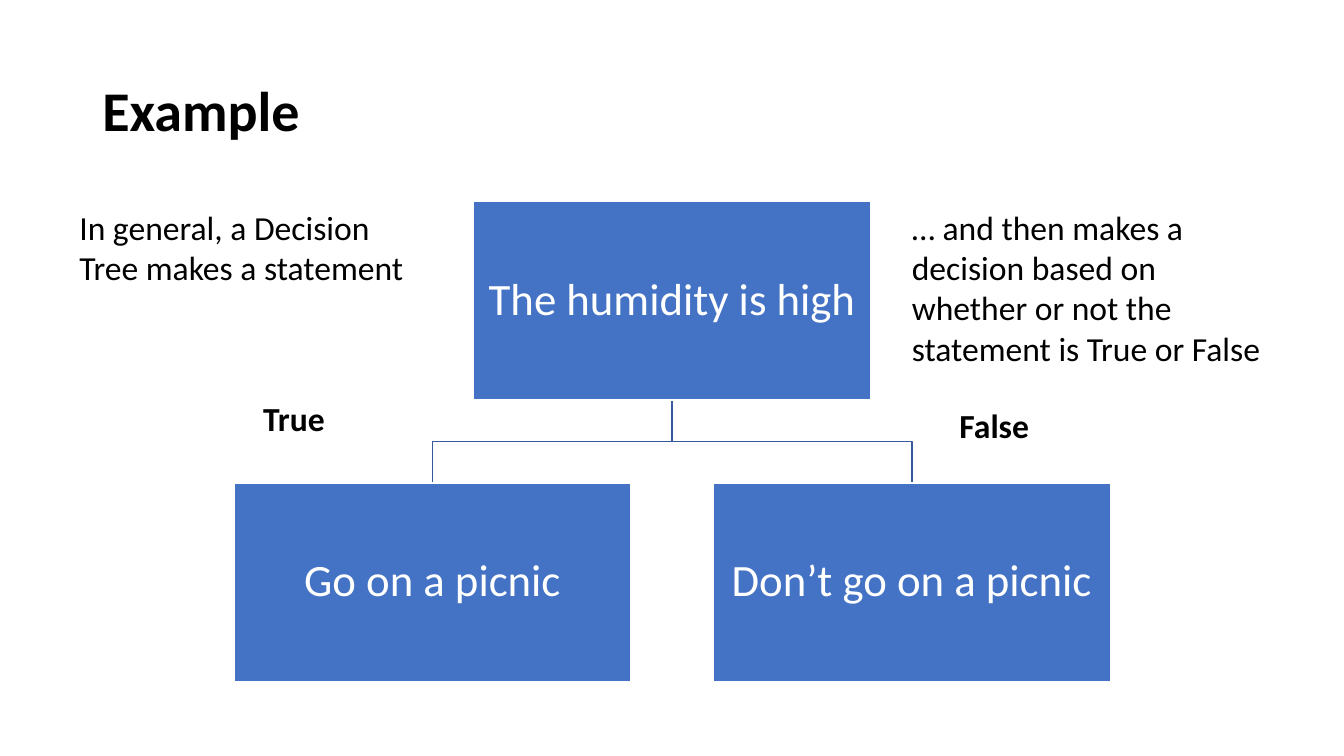
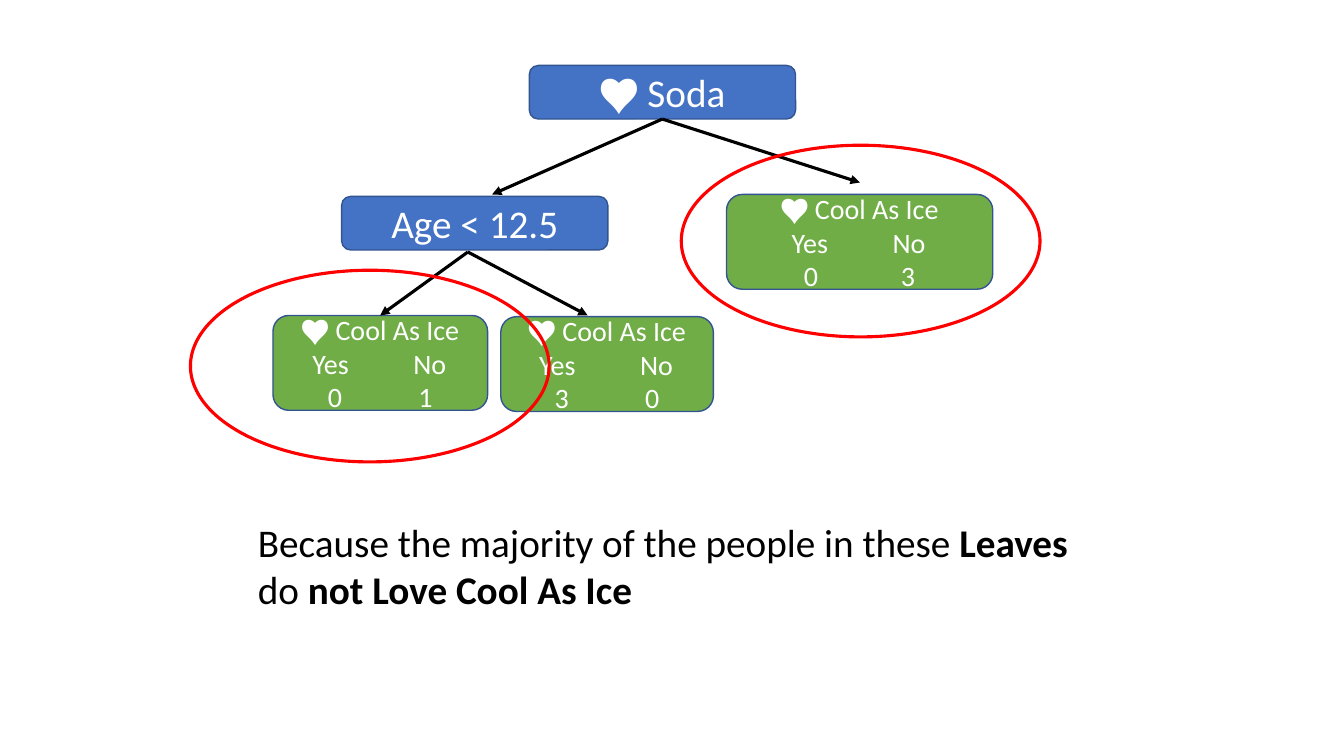
"""Build two slides that explain decision trees."""
import lxml.etree
import pptx
import pptx.dml.color
import pptx.enum.shapes
import pptx.enum.text
import pptx.oxml.ns
import pptx.util

Cm = pptx.util.Cm
Pt = pptx.util.Pt
RGBColor = pptx.dml.color.RGBColor
SHAPE = pptx.enum.shapes.MSO_SHAPE
ALIGN = pptx.enum.text.PP_ALIGN
MIDDLE = pptx.enum.text.MSO_ANCHOR.MIDDLE
qn = pptx.oxml.ns.qn

FONT = "Calibri"
BLACK = RGBColor(0x00, 0x00, 0x00)
WHITE = RGBColor(0xFF, 0xFF, 0xFF)
BLUE = RGBColor(0x44, 0x72, 0xC4)
NAVY = RGBColor(0x32, 0x54, 0x91)
BRANCH = RGBColor(0x36, 0x5B, 0x9D)
GREEN = RGBColor(0x70, 0xAD, 0x47)
RED = RGBColor(0xFF, 0x00, 0x00)


def write(para, runs, size, color, align=ALIGN.LEFT):
    """Add (text, bold) runs to a paragraph."""
    para.alignment = align
    for text, bold in runs:
        run = para.add_run()
        run.text = text
        run.font.name = FONT
        run.font.size = Pt(size)
        run.font.bold = bold
        run.font.color.rgb = color


def draw(slide, kind, at, fill, edge, width=1):
    """Add a preset shape with the given fill and edge."""
    shape = slide.shapes.add_shape(kind, *map(Cm, at))
    shape.shadow.inherit = False
    if fill is None:
        shape.fill.background()
    else:
        shape.fill.solid()
        shape.fill.fore_color.rgb = fill
    shape.line.color.rgb = edge
    shape.line.width = Pt(width)
    frame = shape.text_frame
    frame.word_wrap = True
    frame.vertical_anchor = MIDDLE
    frame.margin_left = frame.margin_right = Cm(0.05)
    frame.margin_top = frame.margin_bottom = Cm(0.05)
    return shape


deck = pptx.Presentation()
deck.slide_width = Cm(33.87)
deck.slide_height = Cm(19.05)
blank = deck.slide_layouts[6]

first = deck.slides.add_slide(blank)
title = first.shapes.add_textbox(Cm(2.33), Cm(1.01), Cm(29.21), Cm(3.68))
title.text_frame.word_wrap = True
title.text_frame.vertical_anchor = MIDDLE
write(title.text_frame.paragraphs[0], [("Example", True)], 40, BLACK)
title.text_frame.paragraphs[0].line_spacing = 0.9

mid, step = 16.94, 6.04
wide, high = 10, 5
top, low = 5.08, 12.17
base = top + high
bend = (base + low) / 2

for side in (1, -1):
    end = mid + side * step
    path = first.shapes.build_freeform(Cm(mid), Cm(base), scale=1.0)
    path.add_line_segments(
        [(Cm(mid), Cm(bend)), (Cm(end), Cm(bend)), (Cm(end), Cm(low))],
        close=False)
    branch = path.convert_to_shape()
    branch.shadow.inherit = False
    branch.fill.background()
    branch.line.color.rgb = BRANCH
    branch.line.width = Pt(1)

for text, center, y in (
        ("The humidity is high", mid, top),
        ("Go on a picnic", mid - step, low),
        ("Don’t go on a picnic", mid + step, low)):
    box = draw(first, SHAPE.RECTANGLE, (center - wide / 2, y, wide, high),
               BLUE, WHITE)
    para = box.text_frame.paragraphs[0]
    write(para, [(text, False)], 32, WHITE, ALIGN.CENTER)
    para.line_spacing = 0.9

second = deck.slides.add_slide(blank)
for text, x, y in (("♥︎ Soda", 13.34, 1.65), ("Age < 12.5", 8.61, 4.95)):
    node = draw(second, SHAPE.ROUNDED_RECTANGLE, (x, y, 6.71, 1.35),
                BLUE, NAVY)
    write(node.text_frame.paragraphs[0], [(text, False)], 28, WHITE,
          ALIGN.CENTER)

for x, y, width, yes, no, gap in (
        (18.31, 4.9, 6.71, "0", "3", 1.22),
        (6.88, 7.95, 5.41, "0", "1", 1.14),
        (12.62, 7.98, 5.36, "3", "0", 1.14)):
    leaf = draw(second, SHAPE.ROUNDED_RECTANGLE, (x, y, width, 2.39),
                GREEN, NAVY)
    frame = leaf.text_frame
    write(frame.paragraphs[0], [("♥︎ Cool As Ice", False)], 20, WHITE,
          ALIGN.CENTER)
    center = width / 2 - 0.17
    for left, right, half in (("Yes", "No", 1.25), (yes, no, gap)):
        para = frame.add_paragraph()
        tabs = lxml.etree.SubElement(para._p.get_or_add_pPr(), qn("a:tabLst"))
        for spot in (center - half, center + half):
            lxml.etree.SubElement(tabs, qn("a:tab"), pos=str(Cm(spot)),
                                  algn="ctr")
        write(para, [(f"\t{left}\t{right}", False)], 20, WHITE)

for start, end in (
        ((16.69, 3), (12.4, 4.9)), ((16.69, 3), (21.67, 4.6)),
        ((11.79, 6.35), (9.58, 7.95)), ((11.79, 6.35), (14.81, 7.95))):
    arrow = second.shapes.add_connector(
        pptx.enum.shapes.MSO_CONNECTOR.STRAIGHT, *map(Cm, start + end))
    arrow.line.color.rgb = BLACK
    arrow.line.width = Pt(2.25)
    props = arrow._element.spPr
    lxml.etree.SubElement(props.find(qn("a:ln")), qn("a:tailEnd"),
                          type="triangle")
    lxml.etree.SubElement(props, qn("a:effectLst"))

for x, y in ((17.17, 3.66), (4.8, 6.81)):
    draw(second, SHAPE.OVAL, (x, y, 9.04, 4.83), None, RED, 2.25)

for slide, at, size, runs in (
        (first, (1.75, 5.08, 8.8, 2.31), 24,
         [("In general, a Decision Tree makes a statement", False)]),
        (first, (6.38, 9.91, 3.56, 1.27), 24, [("True", True)]),
        (first, (23.93, 10.08, 3.56, 1.27), 24, [("False", True)]),
        (first, (22.73, 5.08, 9.37, 4.37), 24,
         [("… and then makes a decision based on whether or not the "
           "statement is True or False", False)]),
        (second, (6.25, 12.93, 21.36, 2.64), 28,
         [("Because the majority of the people in these ", False),
          ("Leaves", True), (" do ", False),
          ("not Love Cool As Ice", True)])):
    note = slide.shapes.add_textbox(*map(Cm, at))
    note.text_frame.word_wrap = True
    write(note.text_frame.paragraphs[0], runs, size, BLACK)

deck.save("out.pptx")
